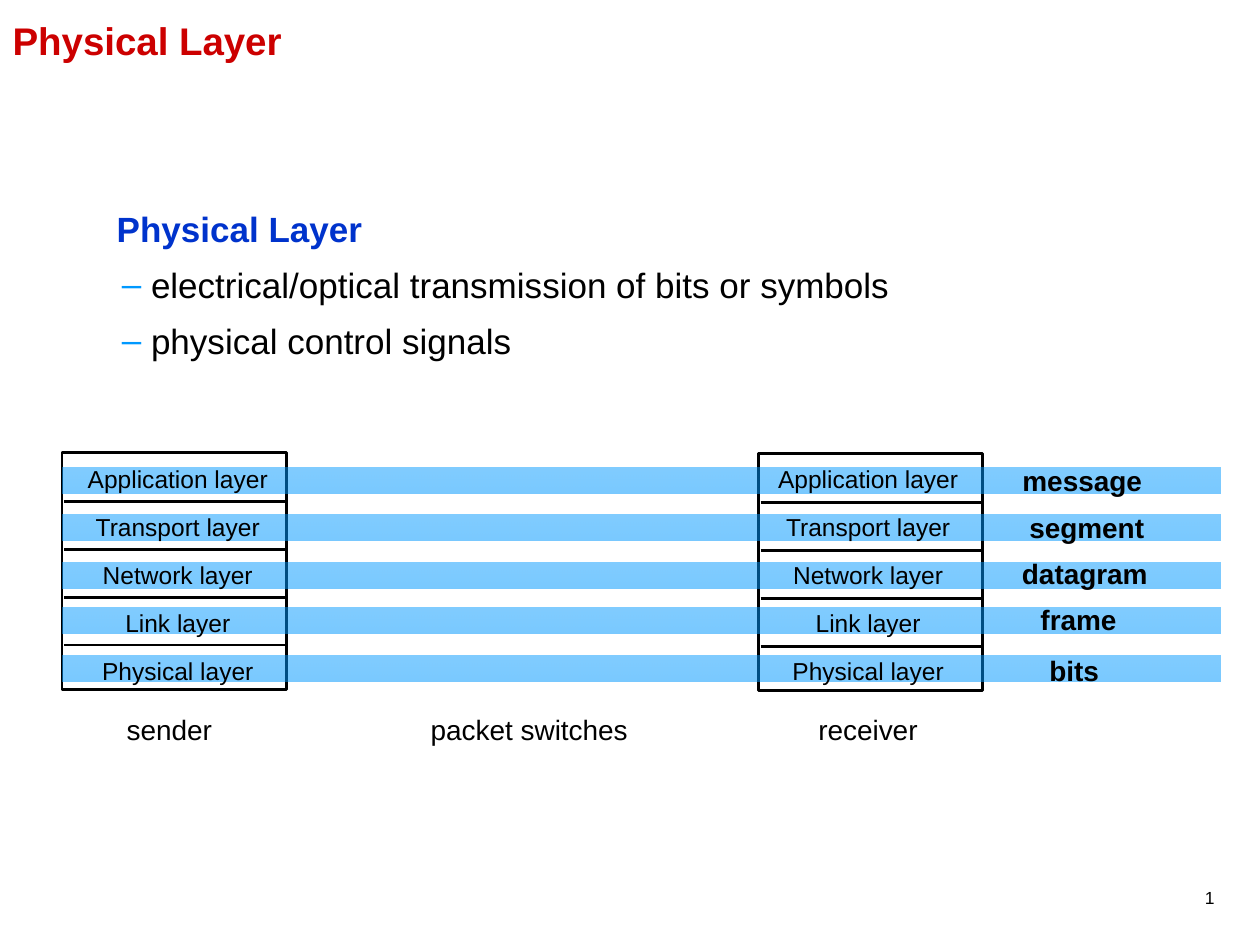
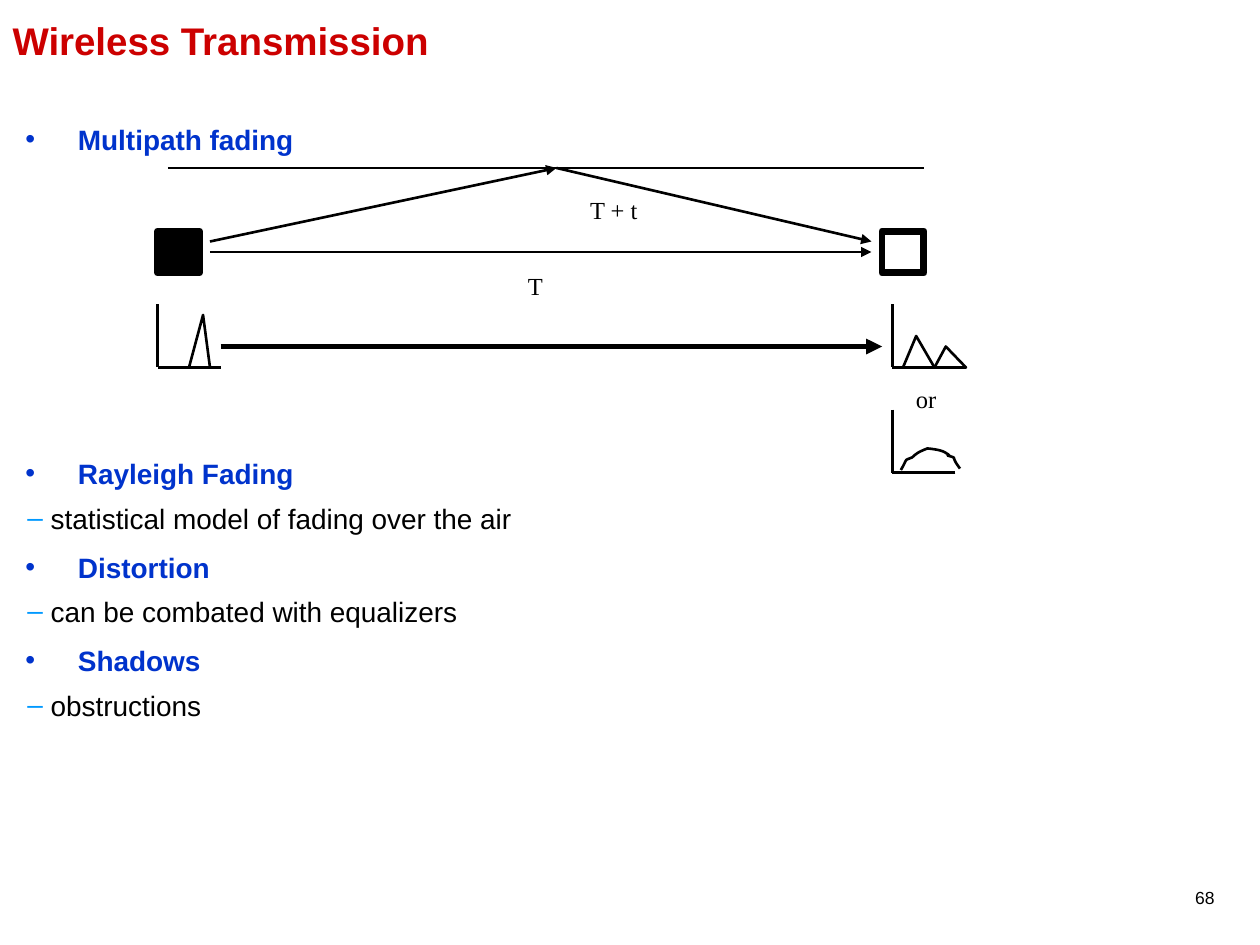
from dataclasses import dataclass

from lxml.etree import SubElement
from pptx import Presentation
from pptx.dml.color import RGBColor as Color
from pptx.enum.shapes import MSO_CONNECTOR as Connector, MSO_SHAPE as Preset
from pptx.enum.text import MSO_ANCHOR as Anchor, MSO_AUTO_SIZE as AutoSize, PP_ALIGN as Align
from pptx.oxml.ns import qn
from pptx.util import Pt


@dataclass(frozen=True)
class Theme:
    title: str = "CC0000"
    heading: str = "0033CC"
    accent: str = "0099FF"
    ink: str = "000000"
    paper: str = "FFFFFF"
    sans: str = "Arial"
    serif: str = "Times New Roman"
    title_size: int = 22
    large: int = 20
    medium: int = 16
    small: int = 14
    tiny: int = 10
    thin: float = 1.5
    arrow: float = 3
    thick: float = 4


THEME = Theme()
TITLE_ONLY = 5

LAYERS = [
    ("Application layer", "message", 267, (566.6, 261.4, 103.7)),
    ("Transport layer", "segment", 294, (576.7, 288, 88.6)),
    ("Network layer", "datagram", 321.5, (573.1, 314.6, 93.6)),
    ("Link layer", "frame", 347, (576.7, 340.6, 79.2)),
    ("Physical layer", "bits", 374.5, (586.8, 370, 54)),
]
HUMP = [
    (514.8, 268.6),
    (519.1, 261.4), (516.2, 263.5), (521.3, 261.4),
    (524.2, 258.5), (526.3, 257.8), (529.9, 256.3),
    (530.6, 256.3), (537.8, 257), (540, 258.5),
    (547.2, 262.8), (536.4, 258.5), (545, 261.4),
    (545.8, 264.2), (547.2, 265.7), (548.6, 267.8),
]


def apply_format(target, values):
    for name, value in values.items():
        setattr(target, name, value)


def place(shape, left, top, width, height):
    apply_format(shape, dict(left=Pt(left), top=Pt(top), width=Pt(width), height=Pt(height)))


def write(paragraph, text, size, color=THEME.ink, font=THEME.sans, bold=False, **layout):
    apply_format(paragraph, layout)
    run = paragraph.add_run()
    run.text = text
    apply_format(run.font, dict(size=Pt(size), name=font, bold=bold))
    run.font.color.rgb = Color.from_string(color)


def add_text_frame(slide, box, wrap=True):
    frame = slide.shapes.add_textbox(*map(Pt, box)).text_frame
    apply_format(frame, dict(word_wrap=wrap, vertical_anchor=Anchor.TOP))
    return frame


def add_label(slide, text, box, size=THEME.medium, wrap=False, alignment=Align.CENTER, **style):
    frame = add_text_frame(slide, box, wrap)
    write(frame.paragraphs[0], text, size, alignment=alignment, **style)


def set_bullet(paragraph, character, left, hanging, color):
    properties = paragraph._p.get_or_add_pPr()
    properties.set("marL", str(Pt(left)))
    properties.set("indent", str(-Pt(hanging)))
    if character:
        bullet_color = SubElement(properties, qn("a:buClr"))
        SubElement(bullet_color, qn("a:srgbClr"), val=color)
        SubElement(properties, qn("a:buFont"), typeface=THEME.sans)
        SubElement(properties, qn("a:buChar"), char=character)


def add_outline(slide, box, size, items, heading_bullet=None):
    frame = add_text_frame(slide, box)
    for index, (text, is_heading, space) in enumerate(items):
        paragraph = frame.paragraphs[0] if index == 0 else frame.add_paragraph()
        if space is None:
            space = size * (0.55 if is_heading else 0.39)
        write(paragraph, text, size, THEME.heading if is_heading else THEME.ink,
              bold=is_heading, space_before=Pt(space))
        if not is_heading:
            set_bullet(paragraph, "–", 8.6 + 0.83 * size, 0.83 * size, THEME.accent)
        elif heading_bullet:
            set_bullet(paragraph, heading_bullet, 37.5, 30, THEME.heading)
        else:
            set_bullet(paragraph, None, 5.6, 0, THEME.heading)


def set_line(line, width):
    line.width = Pt(width)
    line.color.rgb = Color.from_string(THEME.ink)


def add_box(slide, box, fill=THEME.paper, width=THEME.thin, preset=Preset.RECTANGLE, peak=None):
    shape = slide.shapes.add_shape(preset, *map(Pt, box))
    shape.shadow.inherit = False
    shape.fill.solid()
    shape.fill.fore_color.rgb = Color.from_string(fill)
    set_line(shape.line, width)
    if peak is not None:
        shape.adjustments[0] = peak


def add_pulse(slide, box, peak):
    add_box(slide, box, preset=Preset.ISOSCELES_TRIANGLE, peak=peak)


def add_line(slide, start, end, width=THEME.thin, arrow=False):
    line = slide.shapes.add_connector(Connector.STRAIGHT, *map(Pt, start + end))
    set_line(line.line, width)
    properties = line._element.spPr
    if arrow:
        SubElement(properties.find(qn("a:ln")), qn("a:tailEnd"), type="triangle")
    SubElement(properties, qn("a:effectLst"))


def add_axes(slide, left, base, length=36):
    add_line(slide, (left, base - length), (left, base))
    add_line(slide, (left + length, base), (left, base))


def add_band(slide, top):
    band = slide.shapes.add_shape(Preset.RECTANGLE, Pt(36), Pt(top), Pt(661.5), Pt(15))
    band.shadow.inherit = False
    band.line.fill.background()
    band.fill.gradient()
    band.fill.gradient_angle = 270
    for stop in band.fill.gradient_stops:
        stop.color.rgb = Color.from_string(THEME.accent)
    for color, alpha in zip(band._element.spPr.iter(qn("a:srgbClr")), ("50000", "53000")):
        SubElement(color, qn("a:alpha"), val=alpha)


def bezier_point(controls, t):
    weights = ((1 - t) ** 3, 3 * t * (1 - t) ** 2, 3 * t * t * (1 - t), t ** 3)
    return tuple(Pt(sum(w * c for w, c in zip(weights, axis))) for axis in zip(*controls))


def add_curve(slide, points, steps=8):
    builder = slide.shapes.build_freeform(*map(Pt, points[0]))
    builder.add_line_segments(
        [bezier_point(points[first:first + 4], step / steps)
         for first in range(0, len(points) - 1, 3) for step in range(1, steps + 1)],
        close=False)
    curve = builder.convert_to_shape()
    curve.shadow.inherit = False
    curve.fill.background()
    set_line(curve.line, THEME.thin)


def add_slide(presentation, title, number):
    slide = presentation.slides.add_slide(presentation.slide_layouts[TITLE_ONLY])
    shape = slide.shapes.title
    place(shape, 0, 6, 666, 54)
    apply_format(shape.text_frame, dict(vertical_anchor=Anchor.TOP, auto_size=AutoSize.NONE))
    write(shape.text_frame.paragraphs[0], title, THEME.title_size, THEME.title,
          bold=True, alignment=Align.LEFT)
    add_label(slide, number, (674.6, 503.3, 26.6, 18.7), THEME.tiny, alignment=Align.RIGHT)
    return slide


def add_layer_names(slide, left):
    frame = add_text_frame(slide, (left, 265, 134, 129.6))
    for index, (name, *_) in enumerate(LAYERS):
        paragraph = frame.paragraphs[0] if index == 0 else frame.add_paragraph()
        write(paragraph, name, THEME.small, alignment=Align.CENTER, line_spacing=0.8,
              space_before=Pt(14 if index else 0))


def add_dividers(slide, left, top):
    for index in range(len(LAYERS) - 1):
        y = top + 28 + 27.4 * index
        add_line(slide, (left + 1.2, y), (left + 128.8, y))


def build_physical_layer(presentation):
    slide = add_slide(presentation, "Physical Layer", "1")
    add_outline(slide, (54, 115.2, 558, 203.8), THEME.large, [
        ("Physical Layer", True, 0),
        ("electrical/optical transmission of bits or symbols", False, None),
        ("physical control signals", False, None),
    ])
    stacks = [(35.4, 258.5, 34.6), (433.4, 259.3, 429.1)]
    for left, top, _ in stacks:
        add_box(slide, (left, top, 128.2, 135.4))
    for _, _, top, _ in LAYERS:
        add_band(slide, top)
    for left, top, names_left in stacks:
        add_layer_names(slide, names_left)
        add_dividers(slide, left, top)
    for _, unit, _, (left, top, width) in LAYERS:
        add_label(slide, unit, (left, top, width, 26.6), wrap=True, bold=True)
    for text, left, width in [("sender", 64.8, 64), ("packet switches", 238.3, 128.2),
                              ("receiver", 460, 72)]:
        add_label(slide, text, (left, 403.7, width, 26.6))


def build_wireless_transmission(presentation):
    slide = add_slide(presentation, "Wireless Transmission", "68")
    add_outline(slide, (0, 66.2, 720, 437.8), THEME.medium, [
        ("Multipath fading", True, 0),
        ("Rayleigh Fading", True, 172),
        ("statistical model of fading over the air", False, None),
        ("Distortion", True, None),
        ("can be combated with equalizers", False, None),
        ("Shadows", True, None),
        ("obstructions", False, None),
    ], heading_bullet="•")

    reflection = (318, 96)
    add_line(slide, (96, 96), (528, 96))
    add_line(slide, (120, 144), (498, 144), arrow=True)
    add_line(slide, (120, 138), reflection, arrow=True)
    add_line(slide, reflection, (498, 138), arrow=True)
    add_box(slide, (90, 132, 24, 24), THEME.ink, THEME.thick)
    add_box(slide, (504, 132, 24, 24), THEME.paper, THEME.thick)

    for left, base in [(90, 210), (510, 210), (510, 270)]:
        add_axes(slide, left, base)
    add_pulse(slide, (108, 180, 12, 30), 0.67)
    add_pulse(slide, (516, 192, 18, 18), 0.42)
    add_pulse(slide, (534, 198, 18, 12), 0.36)
    add_curve(slide, HUMP)
    add_line(slide, (126, 198), (504, 198), THEME.arrow, arrow=True)

    for text, left, top, width in [("T", 294.5, 151.2, 23), ("T + t", 329.8, 108, 41.8),
                                   ("or", 516.2, 216, 26)]:
        add_label(slide, text, (left, top, width, 23.8), THEME.small, font=THEME.serif)


def main():
    presentation = Presentation()
    apply_format(presentation, dict(slide_width=Pt(720), slide_height=Pt(540)))
    build_physical_layer(presentation)
    build_wireless_transmission(presentation)
    presentation.save("out.pptx")


if __name__ == "__main__":
    main()
